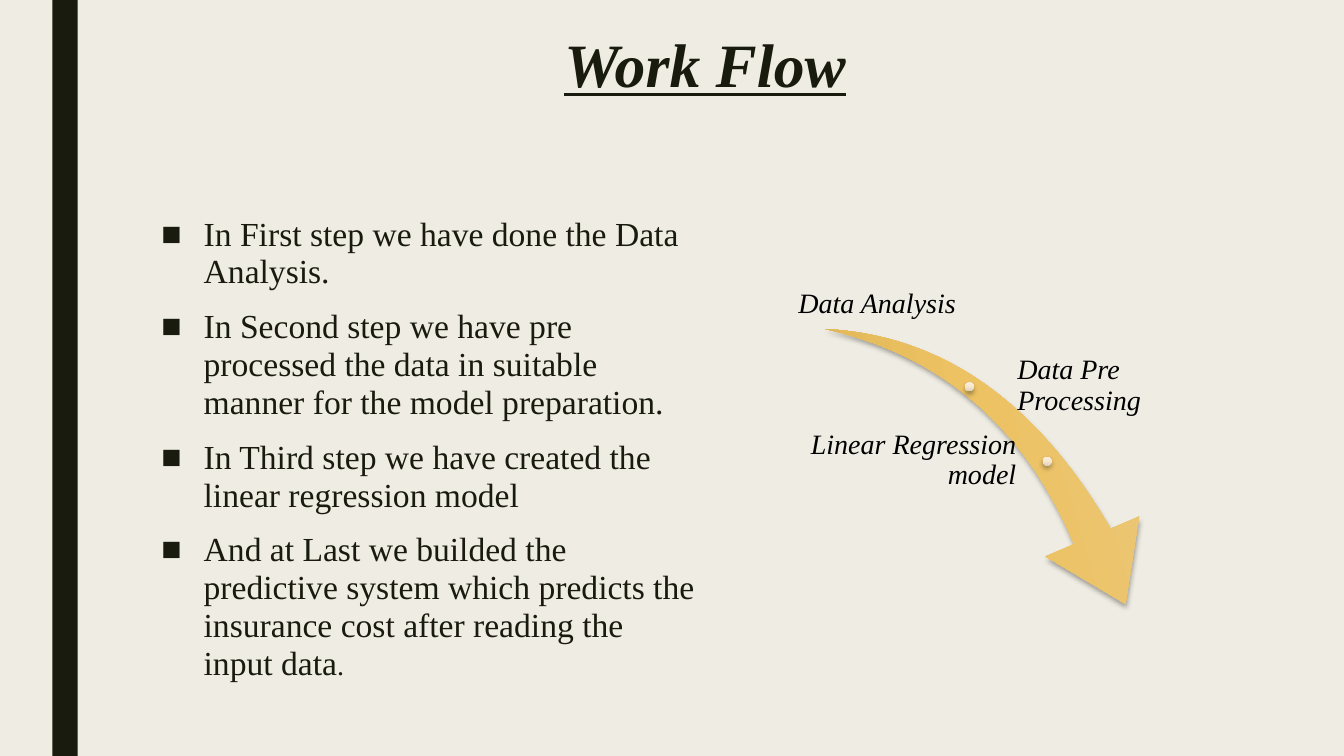
from lxml import etree
from pptx import Presentation
from pptx.dml.color import RGBColor
from pptx.enum.shapes import MSO_SHAPE
from pptx.enum.text import MSO_ANCHOR, MSO_AUTO_SIZE, PP_ALIGN
from pptx.oxml.ns import qn
from pptx.util import Inches, Pt

RECTANGLE, SWOOSH, OVAL = MSO_SHAPE.RECTANGLE, MSO_SHAPE.SWOOSH_ARROW, MSO_SHAPE.OVAL
LEFT, CENTER, RIGHT = PP_ALIGN.LEFT, PP_ALIGN.CENTER, PP_ALIGN.RIGHT
TOP, MIDDLE, BOTTOM = MSO_ANCHOR.TOP, MSO_ANCHOR.MIDDLE, MSO_ANCHOR.BOTTOM
NO_AUTOFIT = MSO_AUTO_SIZE.NONE

FONT = "Times New Roman"
INK, PAPER, BLACK = "191B0E", "EFEDE3", "000000"
GOLD = ["EAC87E", "ECC263", "D9B051"]
CREAM = ["F8EEDE", "F7E8D2", "DECFB9"]
STEPS = [
    "In First step we have done the Data Analysis.",
    "In Second step we have pre processed the data in suitable manner for the model preparation.",
    "In Third step we have created the linear regression model",
    "And at Last we builded the predictive system which predicts the insurance cost "
    "after reading the input data",
]
DOT_SIZE = 0.09
DOTS = [(9.57, 3.79), (10.34, 4.53)]
LABELS = [
    ("Data Analysis", (7.87, 2.56, 1.66, 0.64), CENTER, BOTTOM),
    ("Data Pre Processing", (10.06, 3.51, 2.28, 0.64), LEFT, MIDDLE),
    ("Linear Regression model", (7.87, 4.25, 2.24, 0.64), RIGHT, MIDDLE),
]


def color(value):
    """Turn a hex string into a colour."""
    return RGBColor.from_string(value)


def style(run, size, ink=INK, bold=False, italic=False, underline=False):
    """Format one run of text."""
    font = run.font
    font.name, font.size = FONT, Pt(size)
    font.bold, font.italic, font.underline = bold, italic, underline
    font.color.rgb = color(ink)


def place(placeholder, left, top, width, height):
    """Move a placeholder and return its text frame, anchored at the top."""
    placeholder.left, placeholder.top = Inches(left), Inches(top)
    placeholder.width, placeholder.height = Inches(width), Inches(height)
    frame = placeholder.text_frame
    frame.word_wrap, frame.auto_size = True, NO_AUTOFIT
    frame.vertical_anchor = TOP
    return frame


def add_title(slide):
    """Fill the title placeholder."""
    frame = place(slide.shapes.title, 1.33, 0.3, 11.33, 1.01)
    frame.text = "Work Flow"
    heading = frame.paragraphs[0]
    heading.alignment, heading.line_spacing = CENTER, 0.89
    style(heading.runs[0], 44, bold=True, italic=True, underline=True)


def add_bullet(paragraph):
    """Give a paragraph a hanging square bullet."""
    properties = paragraph._p.get_or_add_pPr()
    properties.set("marL", str(Inches(0.42)))
    properties.set("indent", str(-Inches(0.42)))
    etree.SubElement(properties, qn("a:buChar")).set("char", "■")


def add_steps(slide):
    """Fill the body placeholder with the bulleted steps."""
    frame = place(slide.placeholders[1], 1.5, 2.09, 5.55, 4.88)
    frame.text = "\n".join(STEPS)
    for index, step in enumerate(frame.paragraphs):
        add_bullet(step)
        step.alignment, step.line_spacing = LEFT, 0.94
        step.space_before, step.space_after = Pt(10 if index else 0), Pt(2)
        style(step.runs[0], 24)
    full_stop = frame.paragraphs[-1].add_run()
    full_stop.text = "."
    style(full_stop, 20)


def add_figure(slide, kind, left, top, width, height):
    """Add a preset shape without outline or shadow."""
    figure = slide.shapes.add_shape(
        kind, Inches(left), Inches(top), Inches(width), Inches(height))
    figure.line.fill.background()
    figure.shadow.inherit = False
    return figure


def add_sheen(figure, tones):
    """Give a shape a downward three-tone gradient and a soft shadow."""
    figure.fill.gradient()
    figure.fill.gradient_angle = 270
    properties = figure._element.spPr
    stops = properties.find(".//" + qn("a:gsLst"))
    for stop in list(stops):
        stops.remove(stop)
    for index, tone in enumerate(tones):
        stop = etree.SubElement(stops, qn("a:gs"), pos=str(index * 50000))
        etree.SubElement(stop, qn("a:srgbClr"), val=tone)
    shadow = etree.SubElement(
        properties.find(qn("a:effectLst")), qn("a:outerShdw"),
        blurRad=str(Pt(3.5)), dist=str(Pt(2.2)), dir="5400000", rotWithShape="0")
    shade = etree.SubElement(shadow, qn("a:srgbClr"), val=BLACK)
    etree.SubElement(shade, qn("a:alpha"), val="32000")


def add_label(slide, text, box, alignment, anchor):
    """Add an italic label beside the arrow."""
    frame = slide.shapes.add_textbox(*map(Inches, box)).text_frame
    frame.word_wrap, frame.vertical_anchor = True, anchor
    frame.margin_left = frame.margin_right = Inches(0.03)
    frame.margin_top = frame.margin_bottom = Inches(0.03)
    frame.text = text
    label = frame.paragraphs[0]
    label.alignment, label.line_spacing = alignment, 0.9
    style(label.runs[0], 20, BLACK, italic=True)


def add_flow(slide):
    """Draw the curved arrow with its dots and labels."""
    arrow = add_figure(slide, SWOOSH, 8.12, 3.35, 3.47, 2.45)
    arrow.rotation = 73.3
    arrow.adjustments[0], arrow.adjustments[1] = 0.16, 0.31
    add_sheen(arrow, GOLD)
    for left, top in DOTS:
        add_sheen(add_figure(slide, OVAL, left, top, DOT_SIZE, DOT_SIZE), CREAM)
    for label in LABELS:
        add_label(slide, *label)


def main():
    """Build and save the slide."""
    deck = Presentation()
    deck.slide_width, deck.slide_height = Inches(13.33), Inches(7.5)
    slide = deck.slides.add_slide(deck.slide_layouts[1])
    slide.background.fill.solid()
    slide.background.fill.fore_color.rgb = color(PAPER)
    side_bar = add_figure(slide, RECTANGLE, 0.52, 0, 0.25, 7.5)
    side_bar.fill.solid()
    side_bar.fill.fore_color.rgb = color(INK)
    add_title(slide)
    add_steps(slide)
    add_flow(slide)
    deck.save("out.pptx")


if __name__ == "__main__":
    main()
